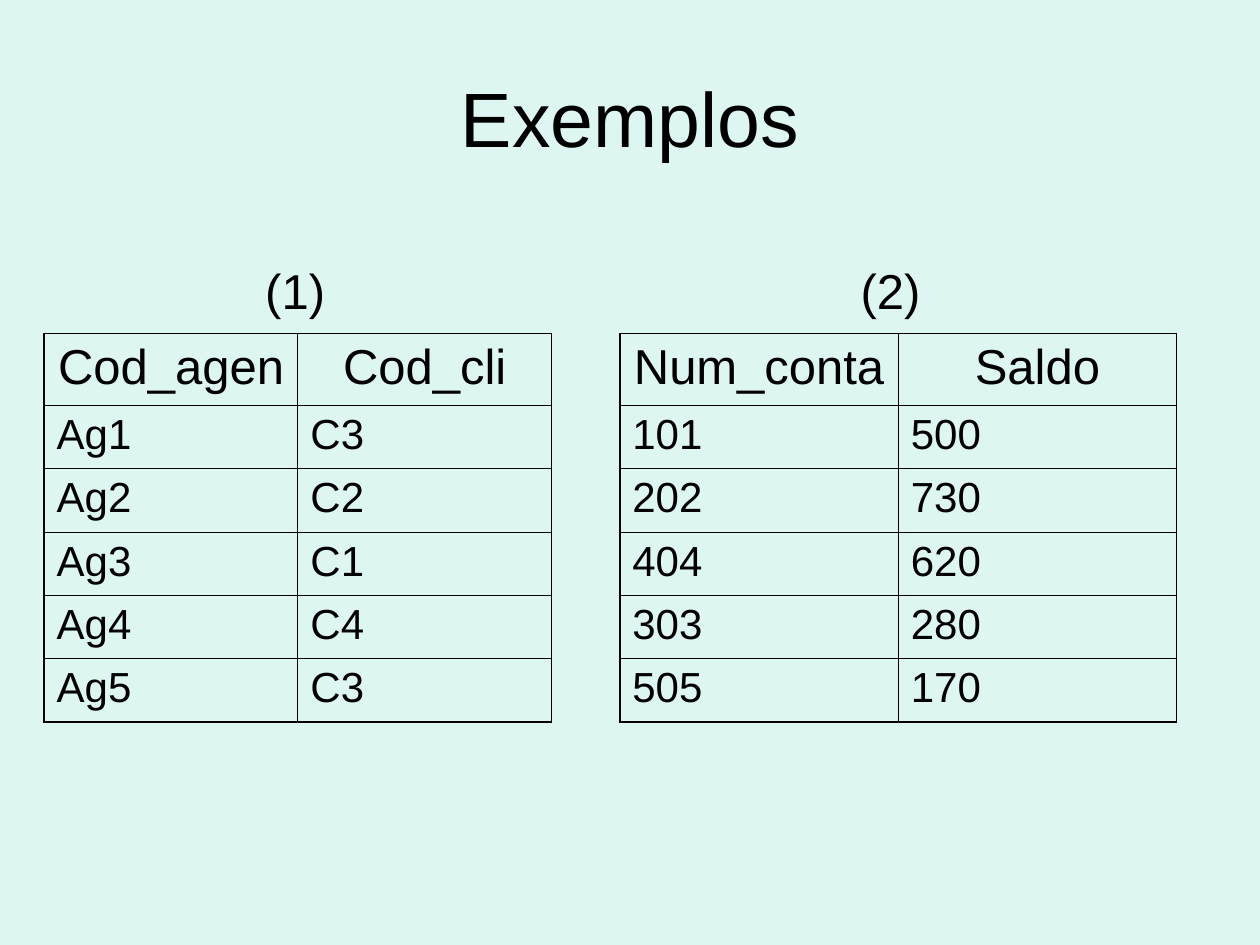
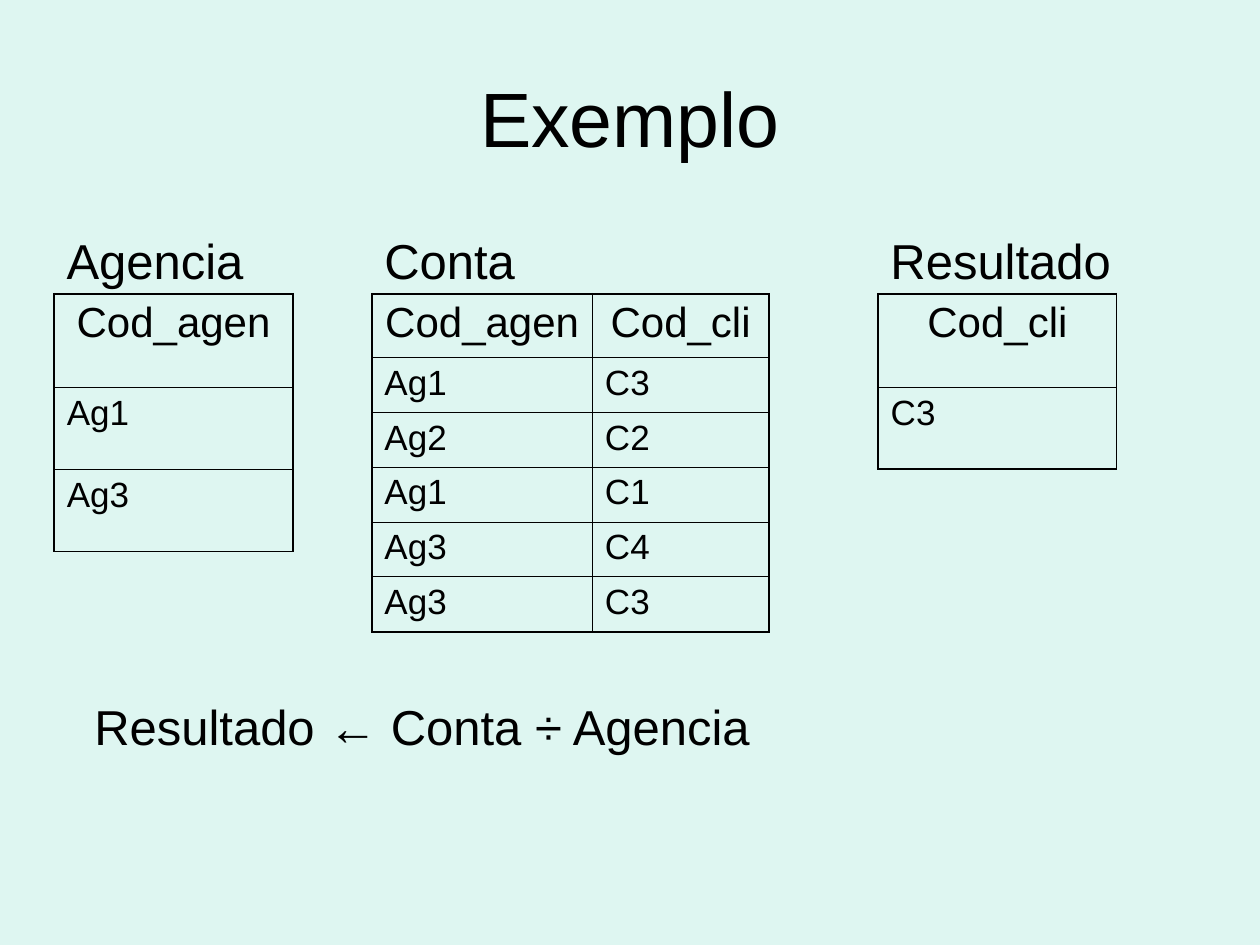
from lxml import etree
from pptx import Presentation
from pptx.dml.color import RGBColor
from pptx.enum import text
from pptx.oxml import ns
from pptx.util import Pt

MINT = RGBColor(0xDE, 0xF6, 0xF1)
BLACK = RGBColor(0, 0, 0)
FONT = "Arial"
OUTER, INNER = 1.08, 0.45
LEFT, MID = text.PP_ALIGN.LEFT, text.PP_ALIGN.CENTER


# Text
def put(frame, words, size, align=LEFT):
    frame.text = words
    para = frame.paragraphs[0]
    para.alignment = align
    font = para.runs[0].font
    font.name, font.size = FONT, Pt(size)
    font.color.rgb = BLACK


def add_text(slide, words, left, top, width, height, size=28, align=LEFT):
    box = slide.shapes.add_textbox(Pt(left), Pt(top), Pt(width), Pt(height))
    frame = box.text_frame
    frame.word_wrap = True
    put(frame, words, size, align)
    return frame


# Slide with the shared background and title
def add_page(deck, title):
    slide = deck.slides.add_slide(deck.slide_layouts[6])
    slide.background.fill.solid()
    slide.background.fill.fore_color.rgb = MINT
    frame = add_text(slide, title, 36, 21.6, 648, 90, 44, MID)
    frame.vertical_anchor = text.MSO_ANCHOR.MIDDLE
    return slide


# Tables: thick outer frame, thin inner rules
def rule(cell, side, width):
    props = cell._tc.get_or_add_tcPr()
    line = etree.SubElement(props, ns.qn(f"a:ln{side}"), w=str(Pt(width)))
    fill = etree.SubElement(line, ns.qn("a:solidFill"))
    etree.SubElement(fill, ns.qn("a:srgbClr"), val=str(BLACK))


def add_grid(slide, rows, left, top, widths, head, body, size):
    count, span = len(rows), len(widths)
    high = head + body * (count - 1)
    table = slide.shapes.add_table(count, span, Pt(left), Pt(top),
                                   Pt(sum(widths)), Pt(high)).table
    table.first_row = table.horz_banding = False
    for col, width in zip(table.columns, widths):
        col.width = Pt(width)
    for r, row in enumerate(rows):
        table.rows[r].height = Pt(body if r else head)
        for c, words in enumerate(row):
            cell = table.cell(r, c)
            # Header text is one step larger than the body
            if r:
                put(cell.text_frame, words, size)
            else:
                put(cell.text_frame, words, size + 4, MID)
            edges = {"L": c == 0, "R": c == span - 1,
                     "T": r == 0, "B": r == count - 1}
            for side, edge in edges.items():
                rule(cell, side, OUTER if edge else INNER)
            cell.fill.background()


def main():
    deck = Presentation()
    deck.slide_width, deck.slide_height = Pt(720), Pt(540)

    # Numbered tables
    agents = [("Cod_agen", "Cod_cli"), ("Ag1", "C3"), ("Ag2", "C2"),
              ("Ag3", "C1"), ("Ag4", "C4"), ("Ag5", "C3")]
    funds = [("Num_conta", "Saldo"), ("101", "500"), ("202", "730"),
             ("404", "620"), ("303", "280"), ("505", "170")]
    slide = add_page(deck, "Exemplos")
    for name, spot, rows, left, width in [
            ("(1)", 144.5, agents, 25.2, 145),
            ("(2)", 484.7, funds, 354.2, 159.1)]:
        add_grid(slide, rows, left, 190.6, [width] * 2, 41, 36.2, 24)
        add_text(slide, name, spot, 145.4, 79.2, 41)

    # Division of relations
    agency = [("Cod_agen",), ("Ag1",), ("Ag3",)]
    conta = [("Cod_agen", "Cod_cli"), ("Ag1", "C3"), ("Ag2", "C2"),
             ("Ag1", "C1"), ("Ag3", "C4"), ("Ag3", "C3")]
    result = [("Cod_cli",), ("C3",)]
    slide = add_page(deck, "Exemplo")
    for name, rows, left, widths, head, body in [
            ("Agencia", agency, 31, [136.3], 53.4, 47),
            ("Conta", conta, 212.5, [126, 100.8], 36.3, 31.4),
            ("Resultado", result, 501.8, [136.3], 53.4, 47)]:
        add_grid(slide, rows, left, 167.8, widths, head, body, 20)
        add_text(slide, name, left, 128.2, 153, 41)
    frame = add_text(slide, "Resultado ← Conta ÷ Agencia",
                     19.4, 394.6, 630, 59)
    frame.margin_left = Pt(34.5)

    deck.save("out.pptx")


if __name__ == "__main__":
    main()
